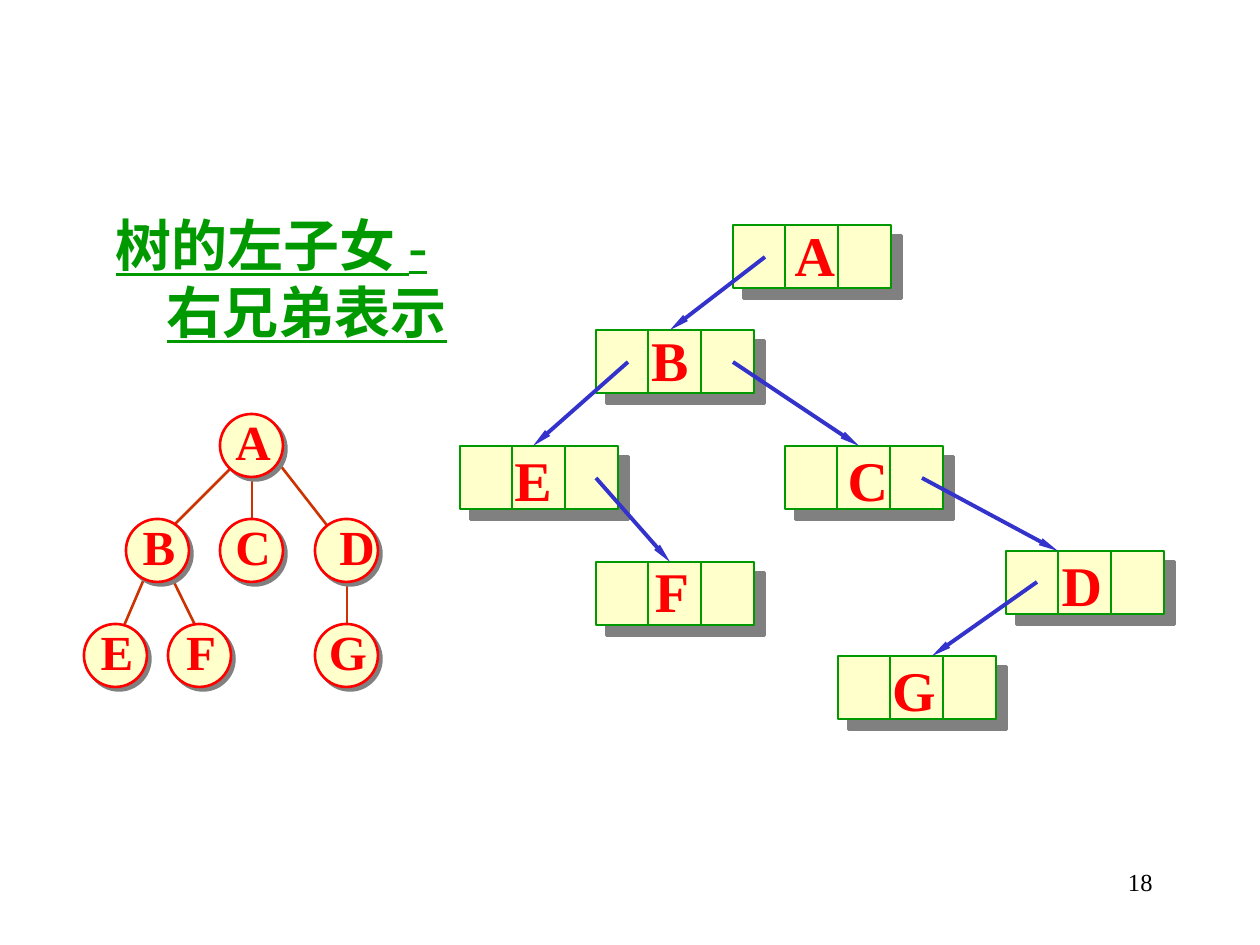
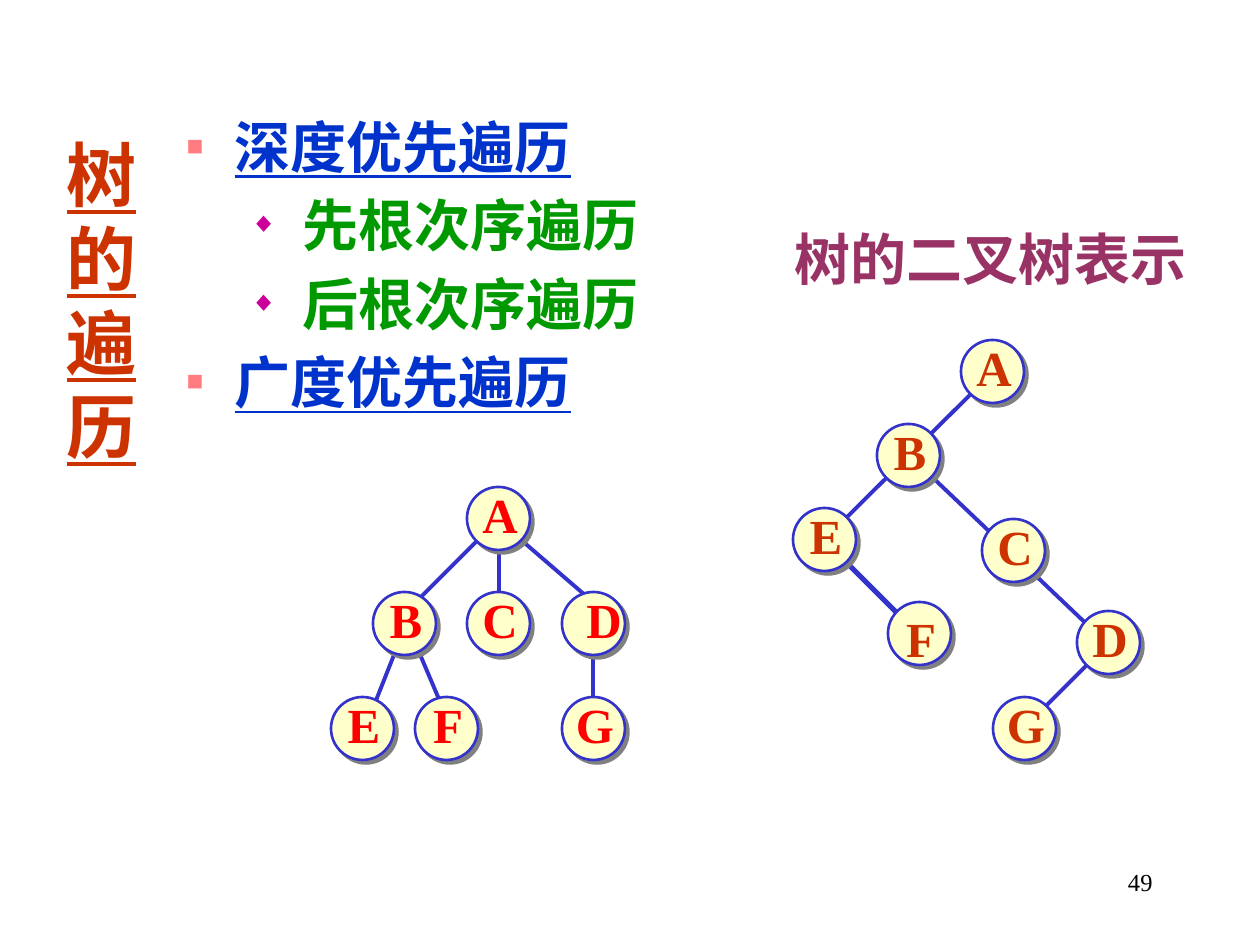
from lxml.etree import SubElement as Sub
from pptx import Presentation
from pptx.dml.color import RGBColor as RGB
from pptx.enum.shapes import MSO_CONNECTOR as Conn, MSO_SHAPE as Kind
from pptx.enum.text import MSO_ANCHOR as Anchor, MSO_AUTO_SIZE as Fit, PP_ALIGN as Align
from pptx.oxml.ns import qn
from pptx.util import Pt

PX = 914400 / 126
SERIF, SANS = "Times New Roman", "Arial"
BLACK = RGB(0x00, 0x00, 0x00)
GREEN = RGB(0x00, 0x99, 0x00)
RED = RGB(0xFF, 0x00, 0x00)
RUST = RGB(0xCC, 0x33, 0x00)
BLUE = RGB(0x33, 0x33, 0xCC)
NAVY = RGB(0x00, 0x33, 0xCC)
PLUM = RGB(0x99, 0x33, 0x66)
CREAM = RGB(0xFF, 0xFF, 0xCC)
GREY = RGB(0x80, 0x80, 0x80)
PINK = RGB(0xFF, 0x7C, 0x80)
MAUVE = RGB(0xCC, 0x00, 0x99)


def put(slide, at, text, box=None, size=32, color=RED, font=SERIF, bold=True,
        under=False, align=Align.LEFT, anchor=Anchor.TOP, wrap=True):
    """Write text, one paragraph a line, in a placeholder or a new text box."""
    box = box or slide.shapes.add_textbox(0, 0, 0, 0)
    box.left, box.top, box.width, box.height = [round(v * PX) for v in at]
    frame = box.text_frame
    frame.auto_size, frame.word_wrap = Fit.NONE, wrap
    frame.vertical_anchor = anchor
    frame.text = text
    for para in frame.paragraphs:
        para.alignment = align
        face = para.runs[0].font
        face.name, face.size, face.bold = font, Pt(size), bold
        face.underline, face.color.rgb = under, color
    return frame.paragraphs


def block(slide, kind, at, color, dist):
    """Draw a cream shape with a hard grey shadow, dist points away."""
    shape = slide.shapes.add_shape(kind, *[round(v * PX) for v in at])
    shape.fill.solid()
    shape.fill.fore_color.rgb = CREAM
    shape.line.color.rgb, shape.line.width = color, Pt(1.5)
    shape.shadow.inherit = False
    list_ = shape._element.spPr.find(qn("a:effectLst"))
    shade = Sub(list_, qn("a:outerShdw"), dist=str(Pt(dist)), dir="2700000",
                algn="ctr", rotWithShape="0")
    Sub(shade, qn("a:srgbClr"), val=str(GREY))


deck = Presentation()
deck.slide_width, deck.slide_height = round(1260 * PX), round(945 * PX)
link = deck.slides.add_slide(deck.slide_layouts[5])
walk = deck.slides.add_slide(deck.slide_layouts[1])

for slide, num in (link, "18"), (walk, "49"):
    put(slide, (903, 861, 262, 63), num, size=14, color=BLACK, bold=False, align=Align.RIGHT)

# Titles
lines = put(link, (103, 204, 431, 147), "树的左子女 -\n右兄弟表示", link.shapes.title,
            color=GREEN, under=True)
lines[1]._p.get_or_add_pPr().set("marL", str(round(51 * PX)))
put(walk, (54, 125, 105, 387), "树的遍历", walk.shapes.title, size=40, color=RUST,
    font=SANS, under=True)
put(walk, (782, 218, 431, 79), "树的二叉树表示", color=PLUM)

# Kinds of traversal
items = put(walk, (174, 106, 496, 378), "深度优先遍历\n先根次序遍历\n后根次序遍历\n广度优先遍历",
            walk.placeholders[1], color=NAVY, under=True)
items[0].space_before = Pt(0)
top = (0, 48, -48, "■", PINK, NAVY)
sub = (1, 116, -53, "◆", MAUVE, GREEN)
for para, (level, left, hang, mark, tint, ink) in zip(items, (top, sub, sub, top)):
    para.level = level
    face = para.runs[0].font
    face.color.rgb, face.underline = ink, level == 0
    props = para._p.get_or_add_pPr()
    props.set("marL", str(round(left * PX)))
    props.set("indent", str(round(hang * PX)))
    Sub(Sub(props, qn("a:buClr")), qn("a:srgbClr"), val=str(tint))
    Sub(props, qn("a:buSzPct"), val="50000")
    Sub(props, qn("a:buFont"), typeface=SERIF)
    Sub(props, qn("a:buChar"), char=mark)

# Linked cells: letter, cell corner, letter offset
CELL_W, CELL_H = 158, 63
cells = [("A", 733, 225, 50, -10), ("B", 596, 330, 42, -10), ("E", 460, 446, 41, -6),
         ("C", 785, 446, 51, -6), ("D", 1006, 551, 44, -6), ("G", 838, 656, 44, -6),
         ("F", 596, 562, 44, -11)]
bars = []
for name, x, y, dx, dy in cells:
    block(link, Kind.RECTANGLE, (x, y, CELL_W, CELL_H), GREEN, 8.5)
    for part in 1, 2:
        bar = x + CELL_W * part // 3
        bars.append((bar, y, bar, y + CELL_H))

# Lines: dividers, pointers, tree edges
arrows = [(765, 257, 670, 330), (628, 362, 533, 446), (1037, 582, 932, 656),
          (596, 478, 670, 562), (733, 362, 859, 446), (922, 478, 1058, 551)]
edges = [(347, 572, 347, 645), (273, 456, 347, 551), (169, 572, 200, 635),
         (147, 572, 120, 635), (232, 467, 169, 530), (252, 467, 252, 530)]
twigs = [(593, 645, 593, 708), (416, 645, 447, 718), (394, 655, 373, 708),
         (520, 539, 593, 602), (499, 551, 499, 602), (479, 539, 416, 602),
         (1097, 655, 1034, 718), (983, 382, 835, 529), (930, 475, 1097, 634)]
groups = [(link, bars, GREEN, 1.5, False), (link, arrows, BLUE, 2.25, True),
          (link, edges, RUST, 1.5, False), (walk, twigs, BLUE, 2.25, False),
          (walk, [(835, 551, 898, 614)], BLUE, 3, False)]
for slide, ends, color, width, head in groups:
    for end in ends:
        line = slide.shapes.add_connector(Conn.STRAIGHT, *[round(v * PX) for v in end])
        line.line.color.rgb, line.line.width = color, Pt(width)
        if head:
            Sub(line.line._get_or_add_ln(), qn("a:tailEnd"), type="triangle", w="sm", len="lg")
        Sub(line._element.spPr, qn("a:effectLst"))

for name, x, y, dx, dy in cells:
    put(link, (x + dx, y + dy, 64, 79), name, align=Align.CENTER, anchor=Anchor.MIDDLE, wrap=False)

# Trees of round nodes
DISC = 63
tree = {"A": (220, 414), "B": (126, 519), "C": (220, 519), "D": (315, 519),
        "E": (84, 624), "F": (168, 624), "G": (315, 624)}
moved = {name: (x + 247, y + 73) for name, (x, y) in tree.items()}
binary = {"A": (961, 340), "B": (877, 424), "C": (982, 519), "D": (1077, 611),
          "E": (793, 508), "F": (888, 602), "G": (993, 697)}
for slide, nodes, rim, ink, shifts in ((link, tree, RED, RED, {"D": (9, 0)}),
                                       (walk, moved, BLUE, RED, {"D": (9, 0)}),
                                       (walk, binary, BLUE, RUST, {"F": (0, 9)})):
    for name, (x, y) in nodes.items():
        dx, dy = shifts.get(name, (0, 0))
        block(slide, Kind.OVAL, (x, y, DISC, DISC), rim, 2.8)
        put(slide, (x + 3 + dx, y - 9 + dy, 60, 72), name, size=28, color=ink,
            align=Align.CENTER, anchor=Anchor.MIDDLE, wrap=False)

deck.save("out.pptx")
